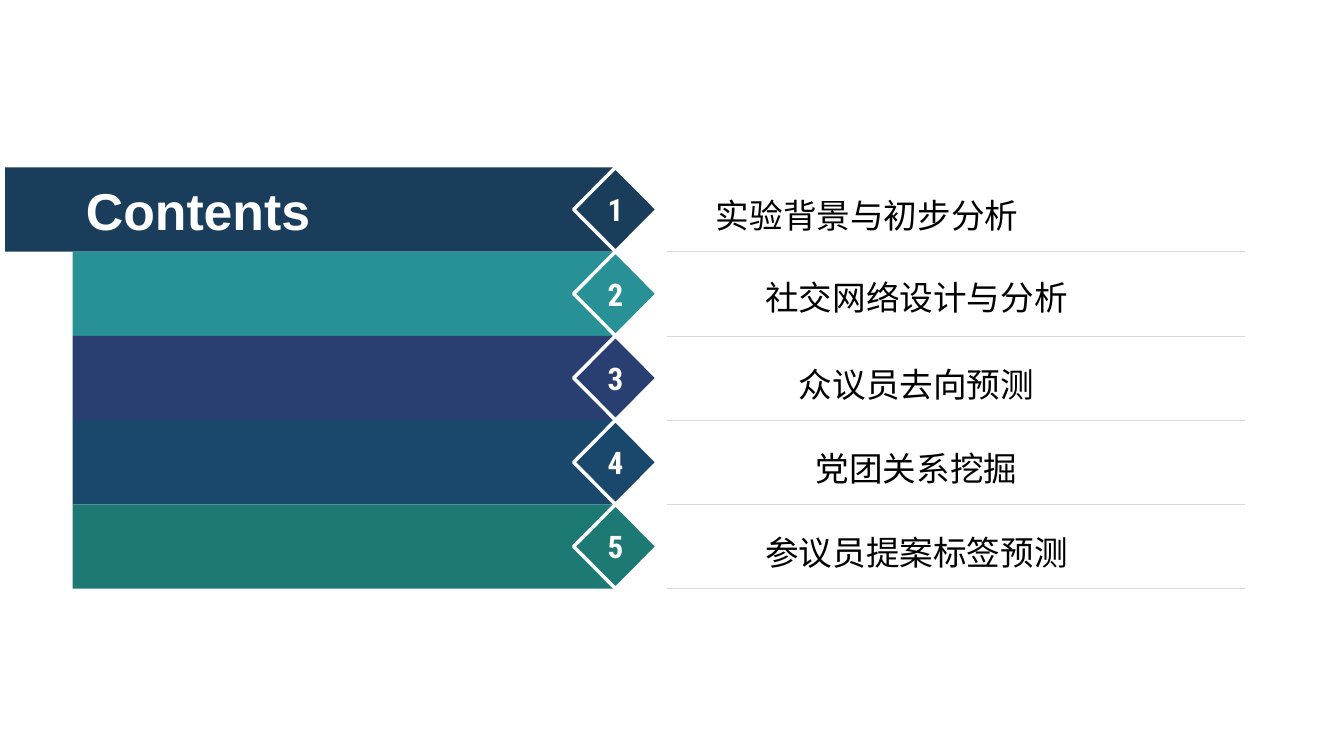
from lxml.etree import SubElement
from pptx import Presentation
from pptx.dml.color import RGBColor
from pptx.enum.shapes import MSO_CONNECTOR, MSO_SHAPE
from pptx.enum.text import MSO_ANCHOR, PP_ALIGN
from pptx.oxml.ns import qn
from pptx.util import Inches, Pt

COLOURS = {
    "white": "FFFFFF", "black": "000000", "rule": "D9D9D9",
    "navy": "193D5A", "teal": "289195", "indigo": "2A3F71",
    "blue": "1A476C", "green": "1C7974",
}
CHAPTERS = [
    ("实验背景与初步分析", "navy", "Arial", 1.3),
    ("社交网络设计与分析", "teal", "Arial", 1.2),
    ("众议员去向预测", "indigo", "Arial", 1.3),
    ("党团关系挖掘", "blue", "Arial", 1.3),
    ("参议员提案标签预测", "green", "Courier New", 1.3),
]
TOP = Inches(1.66)
ROW_HEIGHT = Inches(4.18) // len(CHAPTERS)
BAR_RIGHT = Inches(6.08)
HEADING_FORMAT = {"name": "Arial", "size": Pt(37), "bold": True}
NUMBER_FORMAT = {"name": "Roboto Condensed", "size": Pt(22.2), "bold": True}


def colour(name):
    """Return the named palette colour."""
    return RGBColor.from_string(COLOURS[name])


def add_block(slide, kind, box, fill, outline=None):
    """Add a filled preset shape with an optional outline."""
    block = slide.shapes.add_shape(kind, *box)
    block.shadow.inherit = False
    block.fill.solid()
    block.fill.fore_color.rgb = colour(fill)
    if outline:
        block.line.color.rgb = colour(outline)
        block.line.width = Pt(2.5)
    else:
        block.line.fill.background()
    return block


def write(holder, words, font_format, ink, align=PP_ALIGN.CENTER, spacing=1.0):
    """Write one vertically centred paragraph into a shape."""
    frame = holder.text_frame
    frame.vertical_anchor = MSO_ANCHOR.MIDDLE
    paragraph = frame.paragraphs[0]
    paragraph.text = words
    paragraph.alignment = align
    paragraph.line_spacing = spacing
    for attribute, value in font_format.items():
        setattr(paragraph.font, attribute, value)
    paragraph.font.color.rgb = colour(ink)


def add_label(slide, row_top, chapter, first):
    """Add a chapter title to the right of its number."""
    title, _, font_name, spacing = chapter
    box = (Inches(6.76), row_top + Inches(0.09), Inches(4.66), Inches(0.65))
    label = add_block(slide, MSO_SHAPE.RECTANGLE, box, "white")
    align = PP_ALIGN.LEFT if first else PP_ALIGN.CENTER
    if first:
        label.text_frame.margin_left = Inches(0.34)
    label_format = {"name": font_name, "size": Pt(24)}
    write(label, title, label_format, "black", align, spacing)


def add_rule(slide, y):
    """Add the thin grey line under a chapter title."""
    rule = slide.shapes.add_connector(
        MSO_CONNECTOR.STRAIGHT, Inches(6.62), y, Inches(12.35), y)
    rule.line.color.rgb = colour("rule")
    rule.line.width = Pt(0.25)
    SubElement(rule._element.spPr, qn("a:effectLst"))


def add_bar(slide, row_top, fill, first):
    """Add a coloured bar, the first one reaching further left."""
    left = Inches(0.05) if first else Inches(0.72)
    box = (left, row_top, BAR_RIGHT - left, ROW_HEIGHT)
    add_block(slide, MSO_SHAPE.RECTANGLE, box, fill)


def add_number(slide, row_top, number, fill):
    """Add the numbered diamond at the end of a bar."""
    box = (Inches(5.69), row_top, Inches(0.83), ROW_HEIGHT)
    diamond = add_block(slide, MSO_SHAPE.DIAMOND, box, fill, "white")
    diamond.text_frame.word_wrap = False
    write(diamond, str(number), NUMBER_FORMAT, "white")


def add_heading(slide):
    """Add the heading on the first bar."""
    heading = slide.shapes.add_textbox(
        Inches(0.71), TOP, Inches(2.51), ROW_HEIGHT)
    heading.text_frame.word_wrap = True
    write(heading, "Contents", HEADING_FORMAT, "white")


def main():
    """Build the contents slide and save it."""
    deck = Presentation()
    deck.slide_width, deck.slide_height = Inches(13.33), Inches(7.5)
    slide = deck.slides.add_slide(deck.slide_layouts[6])
    row_tops = [TOP + ROW_HEIGHT * row for row in range(len(CHAPTERS))]
    for row_top, chapter in zip(row_tops, CHAPTERS):
        first = row_top == TOP
        add_label(slide, row_top, chapter, first)
        add_rule(slide, row_top + ROW_HEIGHT)
        add_bar(slide, row_top, chapter[1], first)
    for number, (row_top, chapter) in enumerate(zip(row_tops, CHAPTERS), 1):
        add_number(slide, row_top, number, chapter[1])
    add_heading(slide)
    deck.save("out.pptx")


if __name__ == "__main__":
    main()
